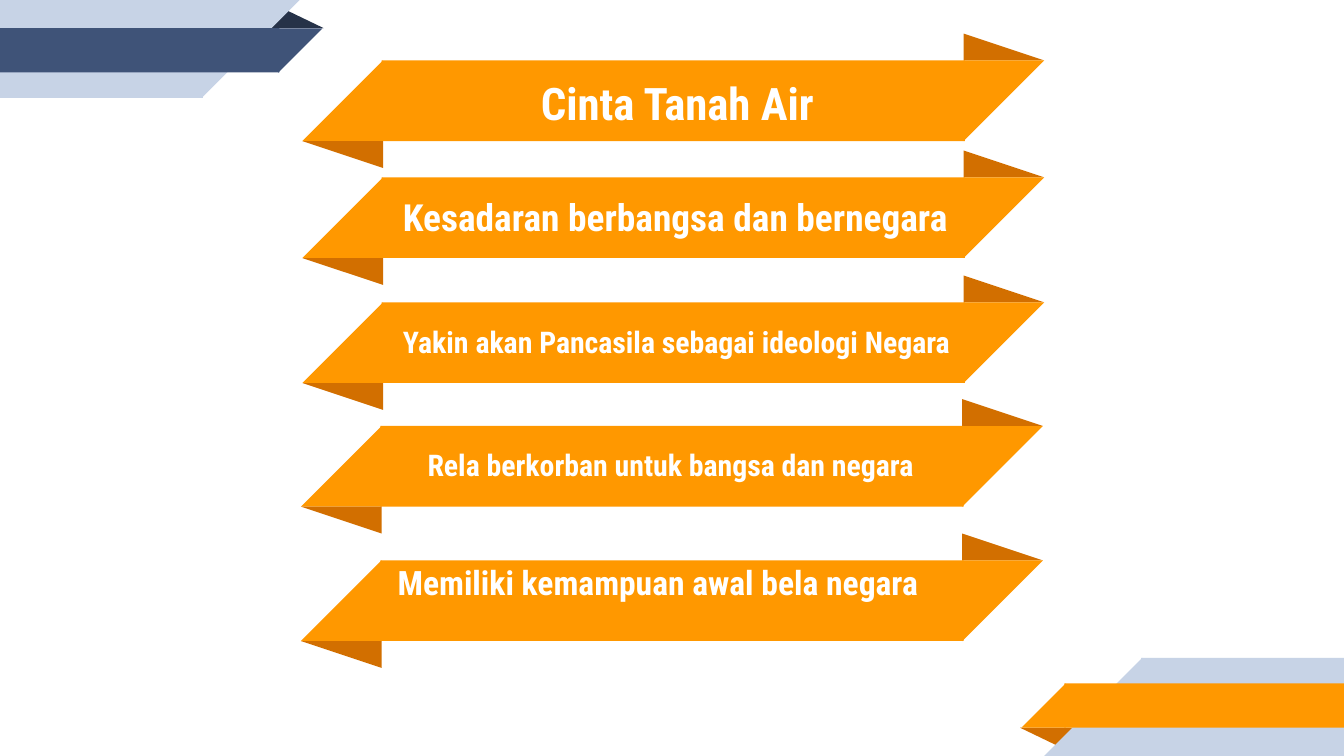
from pptx import Presentation
from pptx.dml.color import RGBColor
from pptx.enum.shapes import MSO_SHAPE
from pptx.enum.text import MSO_ANCHOR, MSO_AUTO_SIZE, PP_ALIGN
from pptx.util import Inches, Pt

WIDE = 10
HIGH = WIDE * 9 / 16
ORANGE, RUST, NAVY, INK, PALE = "FF9800", "D26F00", "3F5378", "263248", "C7D3E6"
SIDE, FOLD, BAND, LAP = 0.6, 0.2, 4.34, 0.01
RECT, WEDGE, PEAK = (MSO_SHAPE.RECTANGLE, MSO_SHAPE.RIGHT_TRIANGLE,
                     MSO_SHAPE.ISOSCELES_TRIANGLE)
LEFT, MID = PP_ALIGN.LEFT, PP_ALIGN.CENTER
ROWS = [
    ("Cinta Tanah Air", 24, MID, 2.25, 0.45, 2.9, 0.47),
    ("Kesadaran berbangsa dan bernegara", 20, LEFT, 2.25, 1.32, 2.9, 1.32),
    ("Yakin akan Pancasila sebagai ideologi Negara", 16, LEFT, 2.25, 2.25, 2.9, 2.25),
    ("Rela berkorban untuk bangsa dan negara", 16, MID, 2.24, 3.17, 2.85, 3.17),
    ("Memiliki kemampuan awal bela negara", 18, LEFT, 2.24, 4.17, 2.86, 4.04),
]


def tint(code):
    """Turn a hex string into a colour."""
    return RGBColor.from_string(code)


def place(item, box):
    """Move and size an item, in inches."""
    item.left, item.top, item.width, item.height = map(Inches, box)


def piece(group, kind, box, color, turn=0, apex=None):
    """Add one flat, borderless part to a group."""
    part = group.shapes.add_shape(kind, *map(Inches, box))
    part.shadow.inherit = False
    part.fill.solid()
    part.fill.fore_color.rgb = tint(color)
    part.line.fill.background()
    part.rotation = turn
    if kind == WEDGE:
        part._element.spPr.xfrm.set("flipH", "1")
    if apex is not None:
        part.adjustments[0] = apex


def corner(slide, color, dark, end):
    """Draw the corner stripes, turned half round at the end corner."""
    group = slide.shapes.add_group_shape()

    def spot(x, y, w, h):
        """Mirror a box through the centre when needed."""
        return (WIDE - x - w, HIGH - y - h, w, h) if end else (x, y, w, h)

    turn = 0 if end else 180
    piece(group, PEAK, spot(1.98, 0.07, 0.43, 0.14), dark, 180 - turn, 0.324)
    for top, width, side, hue in ((0, 1.5, 0.73, PALE), (0.21, 2.07, 0.33, color)):
        piece(group, RECT, spot(0, top, width + LAP, side), hue)
        piece(group, WEDGE, spot(width, top, side, side), hue, turn)


def ribbon(slide, x, y):
    """Draw a slanted ribbon with a fold at each end."""
    group = slide.shapes.add_group_shape()
    start = x + SIDE - LAP
    stop = start + BAND - LAP
    piece(group, PEAK, (stop, y - FOLD, SIDE, FOLD), RUST, apex=0)
    piece(group, RECT, (start, y, BAND, SIDE), ORANGE)
    piece(group, WEDGE, (stop, y, SIDE, SIDE), ORANGE, 180)
    piece(group, WEDGE, (x, y, SIDE, SIDE), ORANGE)
    piece(group, PEAK, (x, y + SIDE, SIDE, FOLD), RUST, 180, 0)


def label(item, text, size, align, x, y):
    """Place and format the words on a ribbon."""
    place(item, (x, y, 4.28, 0.58))
    frame = item.text_frame
    frame.text = text
    frame.word_wrap = True
    frame.auto_size = MSO_AUTO_SIZE.NONE
    frame.vertical_anchor = MSO_ANCHOR.MIDDLE
    frame.margin_left = frame.margin_right = Inches(0.1)
    frame.margin_top = frame.margin_bottom = Inches(0.1)
    para = frame.paragraphs[0]
    para.alignment = align
    font = para.font
    font.name, font.size, font.bold = "Roboto Condensed", Pt(size), True
    font.color.rgb = tint("FFFFFF")


def main():
    """Build and save the slide."""
    deck = Presentation()
    deck.slide_width, deck.slide_height = Inches(WIDE), Inches(HIGH)
    slide = deck.slides.add_slide(deck.slide_layouts[5])
    title = slide.shapes.title
    corner(slide, NAVY, INK, False)
    corner(slide, ORANGE, RUST, True)
    for row, (text, size, align, x, y, left, top) in enumerate(ROWS):
        ribbon(slide, x, y)
        if row == 0:
            item = title
            slide.shapes._spTree.append(title._element)
        else:
            item = slide.shapes.add_textbox(0, 0, 0, 0)
        label(item, text, size, align, left, top)
    deck.save("out.pptx")


if __name__ == "__main__":
    main()
